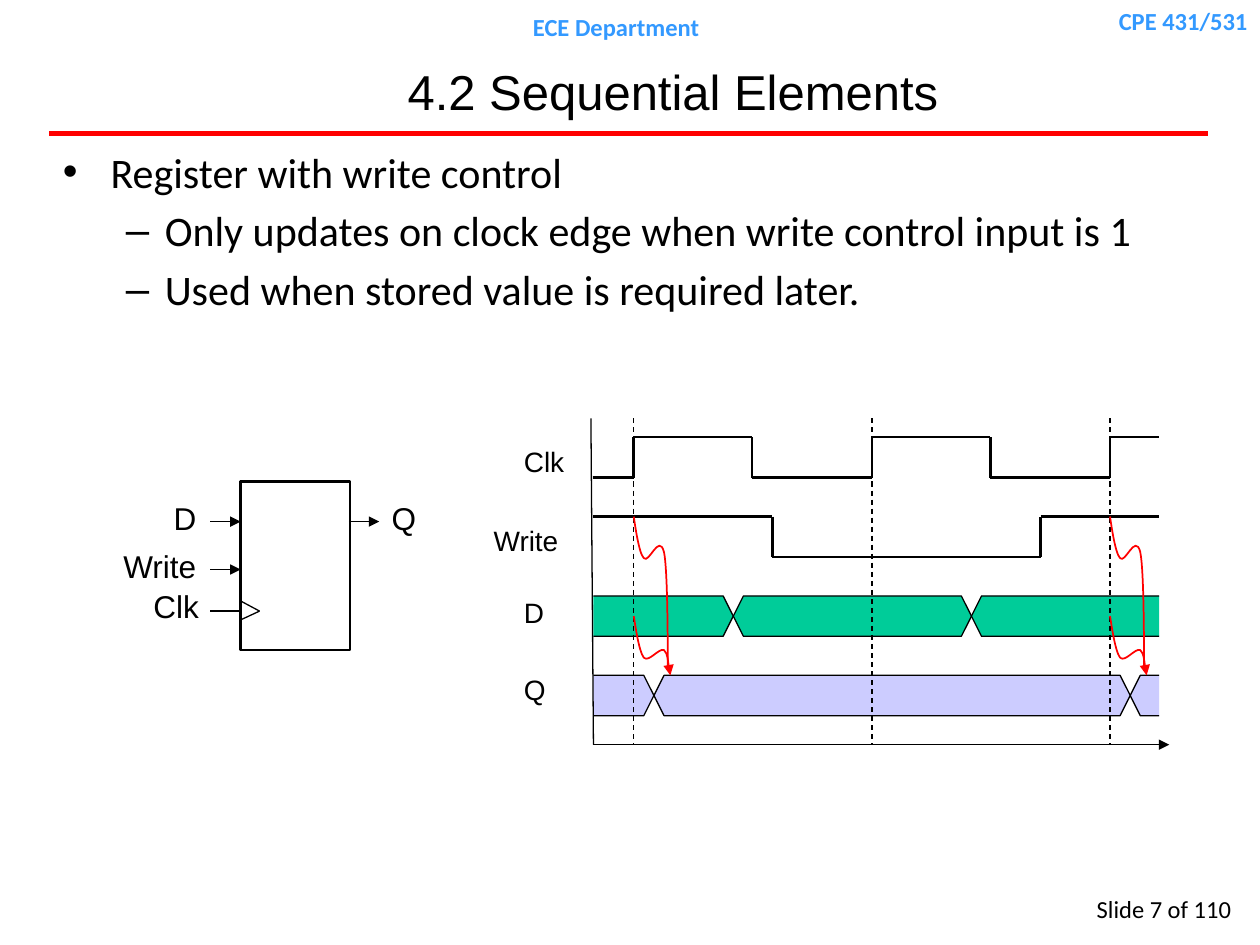
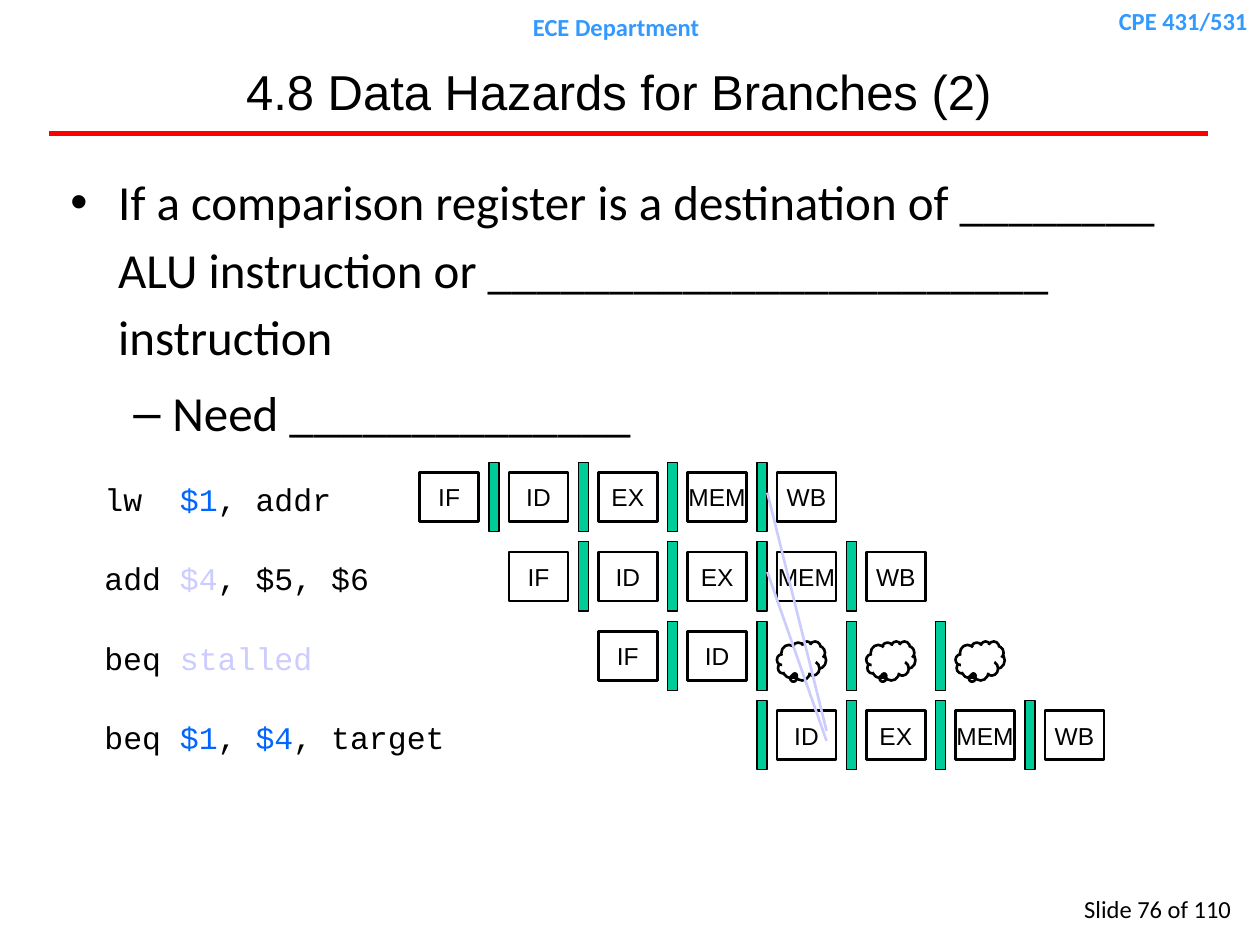
from itertools import pairwise

from lxml import etree
from pptx import Presentation
from pptx.dml.color import RGBColor
from pptx.enum.dml import MSO_LINE
from pptx.enum.shapes import MSO_CONNECTOR, MSO_SHAPE
from pptx.enum.text import MSO_ANCHOR, MSO_AUTO_SIZE, PP_ALIGN
from pptx.oxml.ns import qn
from pptx.util import Inches, Pt

LEFT, CENTER, RIGHT = PP_ALIGN.LEFT, PP_ALIGN.CENTER, PP_ALIGN.RIGHT
TOP, MIDDLE = MSO_ANCHOR.TOP, MSO_ANCHOR.MIDDLE
FIT_TEXT = MSO_AUTO_SIZE.SHAPE_TO_FIT_TEXT
STRAIGHT = MSO_CONNECTOR.STRAIGHT
RECTANGLE, CLOUD = MSO_SHAPE.RECTANGLE, MSO_SHAPE.CLOUD_CALLOUT
DASH = MSO_LINE.DASH

BLACK, RED, HEADER_BLUE = "000000", "FF0000", "3399FF"
GREEN, LAVENDER, REGISTER_BLUE = "00CC99", "CCCCFF", "0066FF"

HEADER = {"name": "Calibri", "size": Pt(14), "bold": True}
FOOTER = {"name": "Calibri", "size": Pt(14)}
TITLE = {"name": "Arial", "size": Pt(28)}
PIN_LABEL = {"name": "Arial", "size": Pt(18)}
SIGNAL_LABEL = {"name": "Arial", "size": Pt(16)}
STAGE_LABEL = {"name": "Arial", "size": Pt(14)}
CODE = {"name": "Courier New", "size": Pt(18)}

BULLETS = [("•", 0.38, -0.38), ("–", 0.81, -0.31)]

WAVE_LEFT, WAVE_RIGHT = 4.71, 9.2
CLOCK_EDGES = [5.03, 5.97, 6.92, 7.86, 8.81]
RISING_EDGES = CLOCK_EDGES[::2]
WRITE_CURVE = [(0, 4.1), (0.01, 4.16), (0.04, 4.39), (0.08, 4.43), (0.12, 4.48),
               (0.2, 4.23), (0.24, 4.38), (0.27, 4.52), (0.27, 5.11), (0.27, 5.3)]
DATA_CURVE = [(0, 4.89), (0.01, 4.95), (0.04, 5.17), (0.08, 5.22), (0.12, 5.26),
              (0.2, 5.14), (0.24, 5.16), (0.27, 5.19), (0.28, 5.32), (0.29, 5.36)]

STAGE_LEFT, STAGE_TOP, STAGE_STEP, ROW_STEP = 3.33, 3.75, 0.709, 0.63
PIPELINE = [
    (0, ["IF", "ID", "EX", "MEM", "WB"],
     [("lw  ", BLACK), ("$1", REGISTER_BLUE), (", addr", BLACK)]),
    (1, ["IF", "ID", "EX", "MEM", "WB"],
     [("add ", BLACK), ("$4", LAVENDER), (", $5, $6", BLACK)]),
    (2, ["IF", "ID", "bubble", "bubble", "bubble"],
     [("beq ", BLACK), ("stalled", LAVENDER)]),
    (3, [None, "ID", "EX", "MEM", "WB"],
     [("beq ", BLACK), ("$1", REGISTER_BLUE), (", ", BLACK),
      ("$4", REGISTER_BLUE), (", target", BLACK)]),
]


def color(hex_value):
    """Turn a hex string into a colour."""
    return RGBColor.from_string(hex_value)


def add_span(para, text, font_format, hex_value=BLACK):
    """Add one run of formatted text."""
    span = para.add_run()
    span.text = text
    for name, value in font_format.items():
        setattr(span.font, name, value)
    span.font.color.rgb = color(hex_value)


def add_text(page, area, spans, font_format, align=LEFT, anchor=TOP, wrap=True):
    """Add a one-paragraph text box from (text, colour) pairs."""
    box = page.shapes.add_textbox(*map(Inches, area))
    frame = box.text_frame
    settings = {"word_wrap": wrap, "vertical_anchor": anchor}
    if not wrap:
        settings["auto_size"] = FIT_TEXT
    for name, value in settings.items():
        setattr(frame, name, value)
    para = frame.paragraphs[0]
    para.alignment = align
    for text, hex_value in spans:
        add_span(para, text, font_format, hex_value)


def add_label(page, left, top, width, text, font_format):
    """Add a short black label that does not wrap."""
    add_text(page, (left, top, width, 0.4), [(text, BLACK)], font_format, wrap=False)


def add_bullets(page, area, items, size, line_spacing=1.0):
    """Add a bulleted list from (level, text) pairs."""
    frame = page.shapes.add_textbox(*map(Inches, area)).text_frame
    frame.word_wrap = True
    for index, (level, text) in enumerate(items):
        para = frame.add_paragraph() if index else frame.paragraphs[0]
        mark, margin, indent = BULLETS[level]
        properties = para._p.get_or_add_pPr()
        properties.set("marL", str(Inches(margin)))
        properties.set("indent", str(Inches(indent)))
        etree.SubElement(properties, qn("a:buFont"), typeface="Arial")
        etree.SubElement(properties, qn("a:buChar"), char=mark)
        para.level = level
        para.line_spacing = line_spacing
        if index:
            para.space_before = Pt(size * 0.2)
        add_span(para, text, {"name": "Calibri", "size": Pt(size)})


def style_line(shape, hex_value, weight, arrow=False, dash=None):
    """Set the outline of a shape or connector."""
    line = shape.line
    line.color.rgb = color(hex_value)
    line.width = Pt(weight)
    if dash:
        line.dash_style = dash
    if arrow:
        etree.SubElement(line._get_or_add_ln(), qn("a:tailEnd"), type="triangle")


def style_shape(shape, fill, hex_value, weight, arrow=False):
    """Set the fill and outline of a shape and drop its shadow."""
    shape.shadow.inherit = False
    if fill:
        shape.fill.solid()
        shape.fill.fore_color.rgb = color(fill)
    else:
        shape.fill.background()
    style_line(shape, hex_value, weight, arrow)


def add_line(page, start, end, weight=0.75, hex_value=BLACK, arrow=False, dash=None):
    """Add a straight connector between two points."""
    connector = page.shapes.add_connector(STRAIGHT, *map(Inches, (*start, *end)))
    style_line(connector, hex_value, weight, arrow, dash)
    etree.SubElement(connector.element.spPr, qn("a:effectLst"))


def add_trace(page, points):
    """Join successive points of a signal with heavy lines."""
    for start, end in pairwise(points):
        add_line(page, start, end, 1.5)


def add_outline(page, points, closed=False):
    """Build a freeform through the points."""
    points = [(Inches(x), Inches(y)) for x, y in points]
    builder = page.shapes.build_freeform(*points[0])
    builder.add_line_segments(points[1:], close=closed)
    return builder.convert_to_shape()


def add_curve(page, points, arrow=False):
    """Add a red curve whose points are cubic Bezier controls."""
    shape = add_outline(page, points)
    segments = list(shape.element.iter(qn("a:lnTo")))
    for first in range(0, len(segments), 3):
        curve = etree.SubElement(segments[first].getparent(), qn("a:cubicBezTo"))
        for segment in segments[first:first + 3]:
            curve.append(segment[0])
            segment.getparent().remove(segment)
    style_shape(shape, None, RED, 1, arrow)


def add_bus(page, top, crossings, fill):
    """Add a bus signal whose value changes at each crossing."""
    middle, bottom, slant = top + 0.16, top + 0.32, 0.08
    first, last = crossings
    cells = [
        [(WAVE_LEFT, top), (first - slant, top), (first, middle),
         (first - slant, bottom), (WAVE_LEFT, bottom)],
        [(first, middle), (first + slant, top), (last - slant, top),
         (last, middle), (last - slant, bottom), (first + slant, bottom)],
        [(WAVE_RIGHT, top), (last + slant, top), (last, middle),
         (last + slant, bottom), (WAVE_RIGHT, bottom)],
    ]
    for index, points in enumerate(cells):
        style_shape(add_outline(page, points, closed=index == 1), fill, BLACK, 0.75)


def add_block(page, area, kind=RECTANGLE, fill=None, weight=1.5, text=None):
    """Add an outlined preset shape with an optional stage name."""
    shape = page.shapes.add_shape(kind, *map(Inches, area))
    style_shape(shape, fill, BLACK, weight)
    if text:
        frame = shape.text_frame
        frame.word_wrap = False
        frame.vertical_anchor = MIDDLE
        para = frame.paragraphs[0]
        para.alignment = CENTER
        add_span(para, text, STAGE_LABEL)
    return shape


def add_page(deck, title, title_left, title_width, number):
    """Add a blank slide with the shared header, title, rule and footer."""
    page = deck.slides.add_slide(deck.slide_layouts[6])
    add_line(page, (0.39, 1.06), (9.59, 1.06), 3, RED)
    add_text(page, (7.72, 0, 2.28, 0.34), [("CPE 431/531", HEADER_BLUE)], HEADER, RIGHT)
    add_text(page, (3.44, 0.05, 2.9, 0.34), [("ECE Department", HEADER_BLUE)], HEADER, CENTER)
    add_text(page, (7.72, 7.05, 2.15, 0.4), [(f"Slide {number} of 110", BLACK)], FOOTER, RIGHT)
    add_text(page, (title_left, 0.38, title_width, 0.69), [(title, BLACK)], TITLE, CENTER, MIDDLE)
    return page


def add_register(page):
    """Draw the register symbol with its pins."""
    add_block(page, (1.91, 3.82, 0.87, 1.34))
    for left, y in [(1.67, 4.14), (1.67, 4.52), (2.77, 4.14)]:
        add_line(page, (left, y), (left + 0.24, y), 1, arrow=True)
    for start in [(1.67, 4.85), (1.91, 4.77), (1.91, 4.92)]:
        end = (1.91, 4.85) if start[0] < 1.91 else (2.06, 4.85)
        add_line(page, start, end)
    for left, top, width, text in [(1.28, 3.91, 0.38, "D"), (0.88, 4.29, 0.78, "Write"),
                                   (1.12, 4.61, 0.56, "Clk"), (3.01, 3.91, 0.4, "Q")]:
        add_label(page, left, top, width, text, PIN_LABEL)


def add_timing(page):
    """Draw the timing diagram of the register."""
    add_bus(page, 4.73, (5.82, 7.71), GREEN)
    add_bus(page, 5.36, (5.19, 8.97), LAVENDER)
    add_line(page, (WAVE_LEFT, 5.91), (9.28, 5.91), arrow=True)
    add_line(page, (WAVE_LEFT, 5.91), (4.69, 3.32))
    high, low = 3.47, 3.79
    clock = [(WAVE_LEFT, low)]
    for index, edge in enumerate(CLOCK_EDGES):
        before, after = (high, low) if index % 2 else (low, high)
        clock += [(edge, before), (edge, after)]
    add_trace(page, clock + [(WAVE_RIGHT, high)])
    add_trace(page, [(WAVE_LEFT, 4.1), (6.13, 4.1), (6.13, 4.42),
                     (8.26, 4.42), (8.26, 4.1), (WAVE_RIGHT, 4.1)])
    for edge in RISING_EDGES:
        add_line(page, (edge, 3.32), (edge, 5.91), dash=DASH)
    for edge in (RISING_EDGES[0], RISING_EDGES[-1]):
        add_curve(page, [(edge + x, y) for x, y in DATA_CURVE], arrow=True)
        add_curve(page, [(edge + x, y) for x, y in WRITE_CURVE])
    for left, top, width, text in [(4.06, 3.48, 0.52, "Clk"), (3.82, 4.11, 0.72, "Write"),
                                   (4.06, 4.68, 0.36, "D"), (4.06, 5.29, 0.38, "Q")]:
        add_label(page, left, top, width, text, SIGNAL_LABEL)


def add_pipeline(page):
    """Draw the instructions, their stages and the pipeline registers."""
    code_widths = [2.01, 2.32, 1.86, 2.92]
    for row, (start, stages, code) in enumerate(PIPELINE):
        top = STAGE_TOP + row * ROW_STEP
        add_text(page, (0.73, top + 0.01, code_widths[row], 0.4), code, CODE, wrap=False)
        for column, stage in enumerate(stages, start):
            left = STAGE_LEFT + column * STAGE_STEP
            if stage == "bubble":
                cloud = add_block(page, (left, top + 0.08, 0.39, 0.31), CLOUD)
                cloud.adjustments[0], cloud.adjustments[1] = -0.13, 0.36
            elif stage:
                add_block(page, (left, top, 0.47, 0.39), text=stage)
            if column < start + len(stages) - 1:
                add_block(page, (left + 0.55, top - 0.08, 0.08, 0.55), fill=GREEN, weight=0.75)
    add_line(page, (6.09, 3.91), (6.56, 5.8), 1.5, LAVENDER)
    add_line(page, (6.09, 4.54), (6.56, 5.88), 1.5, LAVENDER)


def main():
    """Build both slides and save the deck."""
    deck = Presentation()
    deck.slide_width, deck.slide_height = Inches(10), Inches(7.5)

    page = add_page(deck, "4.2 Sequential Elements", 1.09, 8.5, 7)
    add_bullets(page, (0.4, 1.11, 9.13, 2.04), [
        (0, "Register with write control"),
        (1, "Only updates on clock edge when write control input is 1"),
        (1, "Used when stored value is required later."),
    ], 24)
    add_register(page)
    add_timing(page)

    page = add_page(deck, "4.8 Data Hazards for Branches (2)", 0, 9.82, 76)
    add_pipeline(page)
    add_bullets(page, (0.46, 1.25, 9.05, 1.95), [
        (0, "If a comparison register is a destination of ________ ALU instruction "
            "or _______________________ instruction"),
        (1, "Need ______________"),
    ], 28, 1.14)

    deck.save("out.pptx")


if __name__ == "__main__":
    main()
